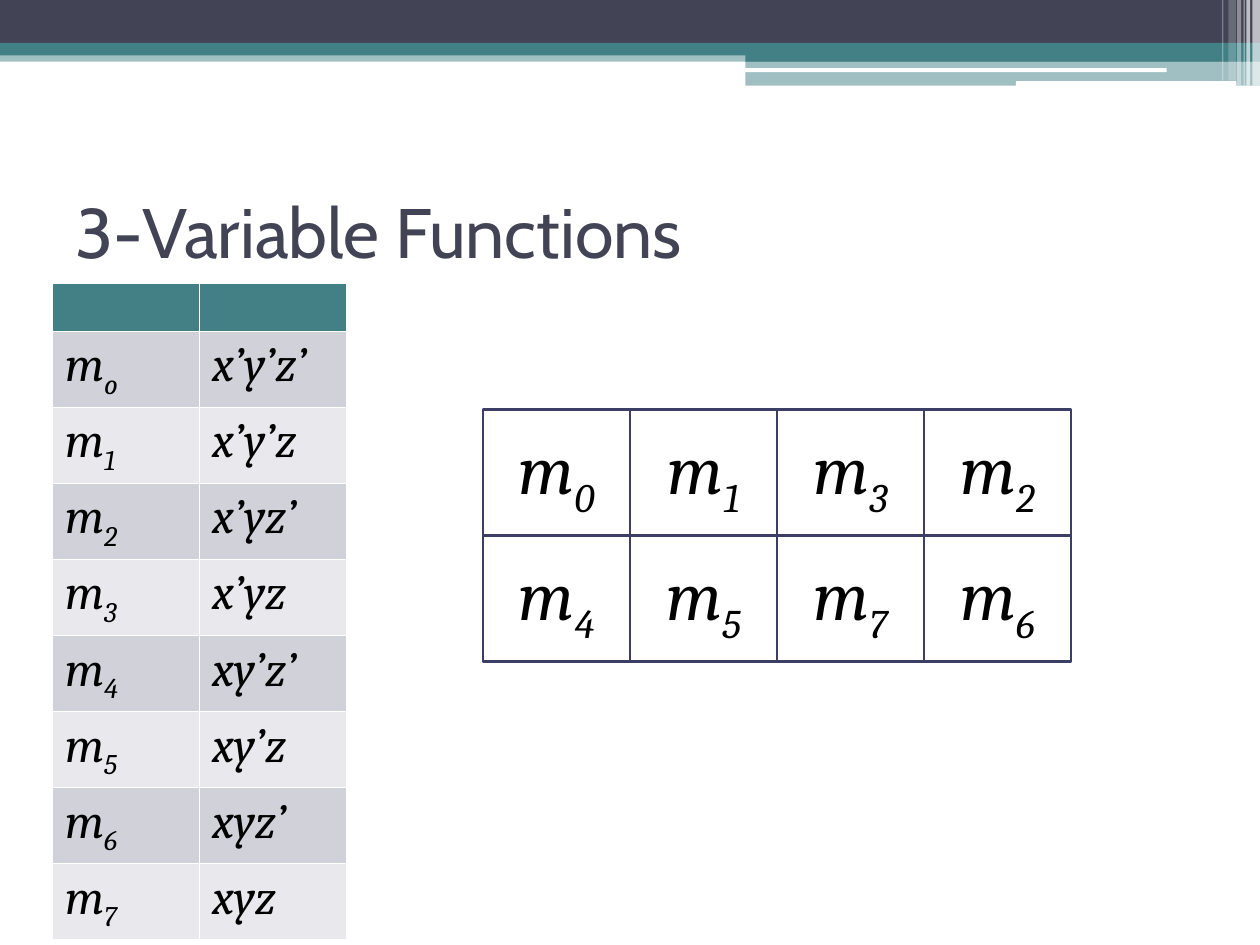
from dataclasses import dataclass

from lxml.etree import SubElement
from pptx import Presentation
from pptx.dml.color import RGBColor
from pptx.enum.shapes import MSO_SHAPE
from pptx.enum.text import MSO_ANCHOR, PP_ALIGN
from pptx.oxml.ns import qn
from pptx.util import Pt


@dataclass(frozen=True)
class Theme:
    heading_font: str = "Cabin"
    body_font: str = "Cambria"
    title_size: int = 40
    map_size: int = 40
    table_size: int = 28
    header_size: int = 12
    dark: str = "424456"
    teal: str = "438086"
    white: str = "FFFFFF"
    black: str = "000000"
    map_line: str = "3D3E66"
    stripes: tuple = ("D1D1DA", "E9E9ED")


THEME = Theme()

# left, top, width, height, colour, opacity in percent
BANDS = [
    (0, 28.8, 720, 6.5, THEME.teal, 50),
    (0, 0, 720, 24.5, THEME.dark, 100),
    (0, 24.5, 720, 7.2, THEME.teal, 100),
    (426, 28.1, 294, 7.2, THEME.teal, 100),
    (426, 34.7, 294, 14.2, THEME.teal, 50),
]
HIGHLIGHTS = [
    (425.5, 39, 241.2, 2.2, THEME.white, 100),
    (580.5, 46.4, 126, 2.7, THEME.white, 100),
]
# left, width, height, opacity in percent
EDGE_STRIPES = [
    (715.7, 4.3, 49, 65),
    (712.2, 2.2, 49, 65),
    (710.6, 0.7, 49, 60),
    (707, 2.2, 49, 40),
    (702, 4.3, 46.1, 20),
    (698.4, 0.7, 46.1, 30),
]
MINTERMS = [
    ("o", "x’y’z’"), ("1", "x’y’z"), ("2", "x’yz’"), ("3", "x’yz"),
    ("4", "xy’z’"), ("5", "xy’z"), ("6", "xyz’"), ("7", "xyz"),
]
MAP_ROWS = ["0132", "4576"]


def write(text_frame, text, subscript="", size=THEME.table_size,
          font=THEME.body_font, color=THEME.black, italic=True,
          align=PP_ALIGN.LEFT):
    paragraph = text_frame.paragraphs[0]
    paragraph.alignment = align
    for content, baseline in ((text, None), (subscript, "-25000")):
        if not content:
            continue
        run = paragraph.add_run()
        run.text = content
        run.font.size = Pt(size)
        run.font.name = font
        run.font.italic = italic
        run.font.color.rgb = RGBColor.from_string(color)
        if baseline:
            run._r.get_or_add_rPr().set("baseline", baseline)


def add_box(slide, left, top, width, height, fill=None, opacity=100,
            line=None, kind=MSO_SHAPE.RECTANGLE):
    shape = slide.shapes.add_shape(kind, Pt(left), Pt(top), Pt(width), Pt(height))
    shape.shadow.inherit = False
    if fill:
        shape.fill.solid()
        shape.fill.fore_color.rgb = RGBColor.from_string(fill)
        if opacity < 100:
            color = shape._element.spPr.find(f".//{qn('a:srgbClr')}")
            SubElement(color, qn("a:alpha")).set("val", str(opacity * 1000))
    else:
        shape.fill.background()
    if line:
        shape.line.color.rgb = RGBColor.from_string(line)
        shape.line.width = Pt(1.5)
    else:
        shape.line.fill.background()
    return shape


def add_banner(slide, left, top):
    for x, y, width, height, color, opacity in BANDS:
        add_box(slide, left + x, top + y, width, height, color, opacity)
    for x, y, width, height, color, opacity in HIGHLIGHTS:
        add_box(slide, left + x, top + y, width, height, color, opacity,
                kind=MSO_SHAPE.ROUNDED_RECTANGLE)
    for x, width, height, opacity in EDGE_STRIPES:
        add_box(slide, left + x, top, width, height, THEME.white, opacity)


def place_title(slide, text, left, top, width, height):
    title = slide.shapes.title
    title.left, title.top = Pt(left), Pt(top)
    title.width, title.height = Pt(width), Pt(height)
    title.text_frame.vertical_anchor = MSO_ANCHOR.MIDDLE
    write(title.text_frame, text, size=THEME.title_size,
          font=THEME.heading_font, color=THEME.dark, italic=False)


def add_minterm_table(slide, left, top, width, header_height, row_height):
    height = header_height + row_height * len(MINTERMS)
    table = slide.shapes.add_table(len(MINTERMS) + 1, 2, Pt(left), Pt(top),
                                   Pt(width), Pt(height)).table
    for column in table.columns:
        column.width = Pt(width / 2)
    for index, row in enumerate(table.rows):
        row.height = Pt(row_height if index else header_height)
        fill = THEME.stripes[(index - 1) % 2] if index else THEME.teal
        for cell in row.cells:
            cell.fill.solid()
            cell.fill.fore_color.rgb = RGBColor.from_string(fill)
            if index == 0:
                # An empty cell takes its height from the end-of-paragraph size
                paragraph = cell.text_frame.paragraphs[0]._p
                SubElement(paragraph, qn("a:endParaRPr")).set(
                    "sz", str(THEME.header_size * 100))
    for index, (subscript, product) in enumerate(MINTERMS, start=1):
        write(table.cell(index, 0).text_frame, "m", subscript)
        write(table.cell(index, 1).text_frame, product)


def add_karnaugh_map(slide, left, top, width, height):
    cell_width = width / len(MAP_ROWS[0])
    cell_height = height / len(MAP_ROWS)
    for row, subscripts in enumerate(MAP_ROWS):
        for column, subscript in enumerate(subscripts):
            cell = add_box(slide, left + column * cell_width,
                           top + row * cell_height, cell_width, cell_height,
                           line=THEME.map_line)
            cell.text_frame.vertical_anchor = MSO_ANCHOR.MIDDLE
            write(cell.text_frame, "m", subscript, size=THEME.map_size,
                  align=PP_ALIGN.CENTER)


def main():
    presentation = Presentation()
    presentation.slide_width, presentation.slide_height = Pt(720), Pt(540)
    slide = presentation.slides.add_slide(presentation.slide_layouts[5])
    add_banner(slide, 0, 0)
    place_title(slide, "3-Variable Functions", 36, 90, 648, 84)
    add_minterm_table(slide, 30, 162, 168, 27.4, 43.4)
    add_karnaugh_map(slide, 276, 234, 336, 144)
    presentation.save("out.pptx")


if __name__ == "__main__":
    main()
